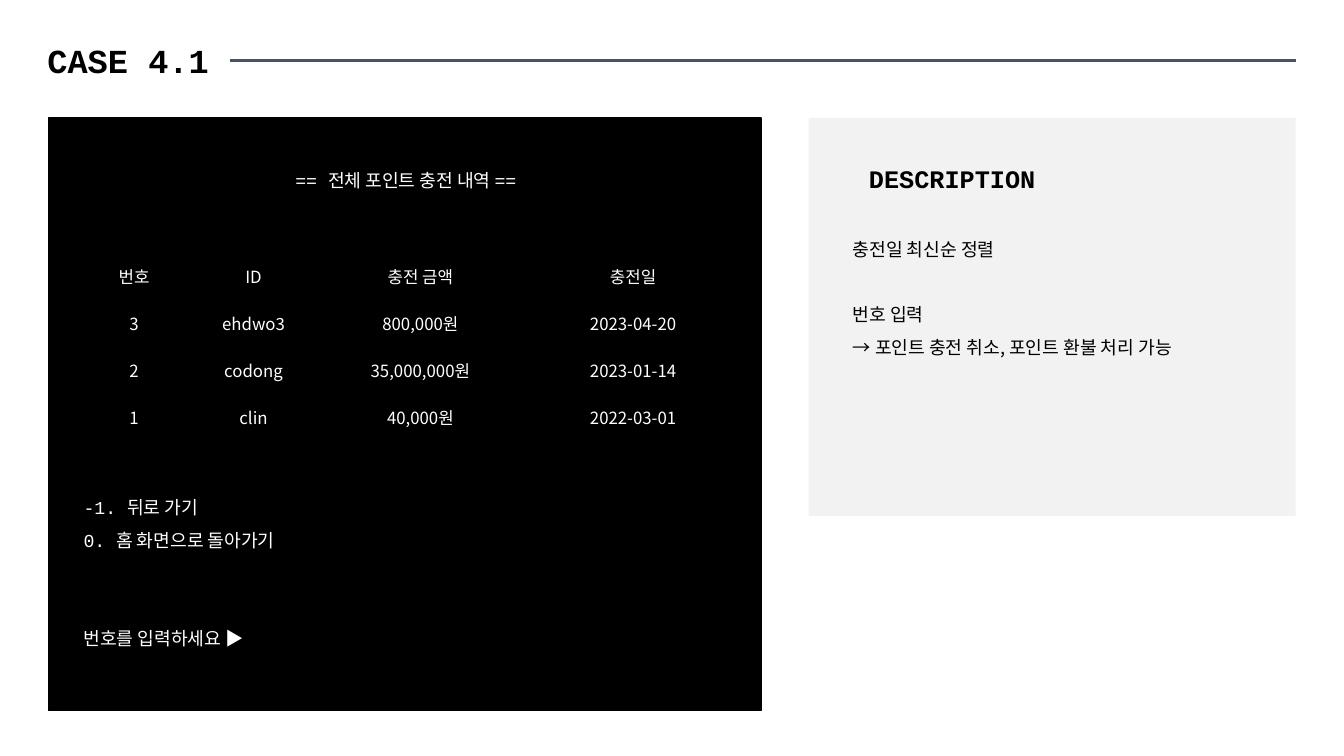
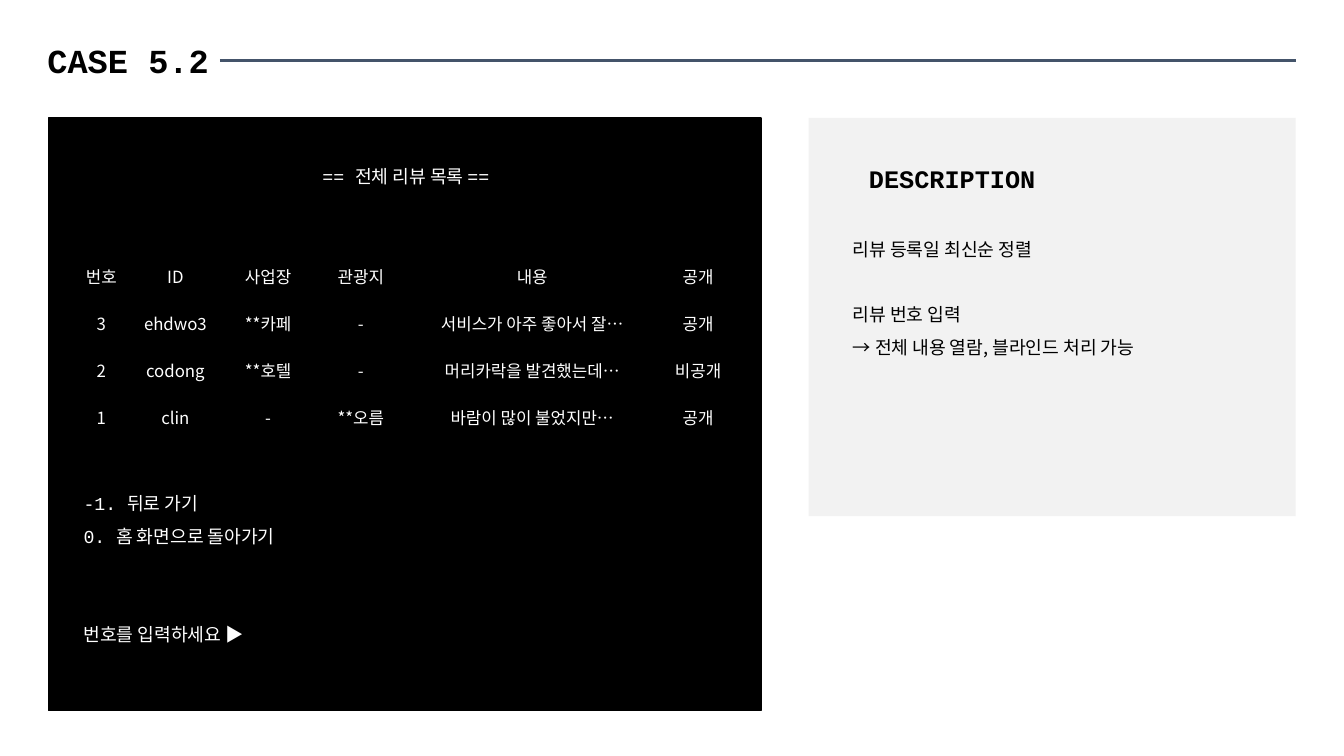
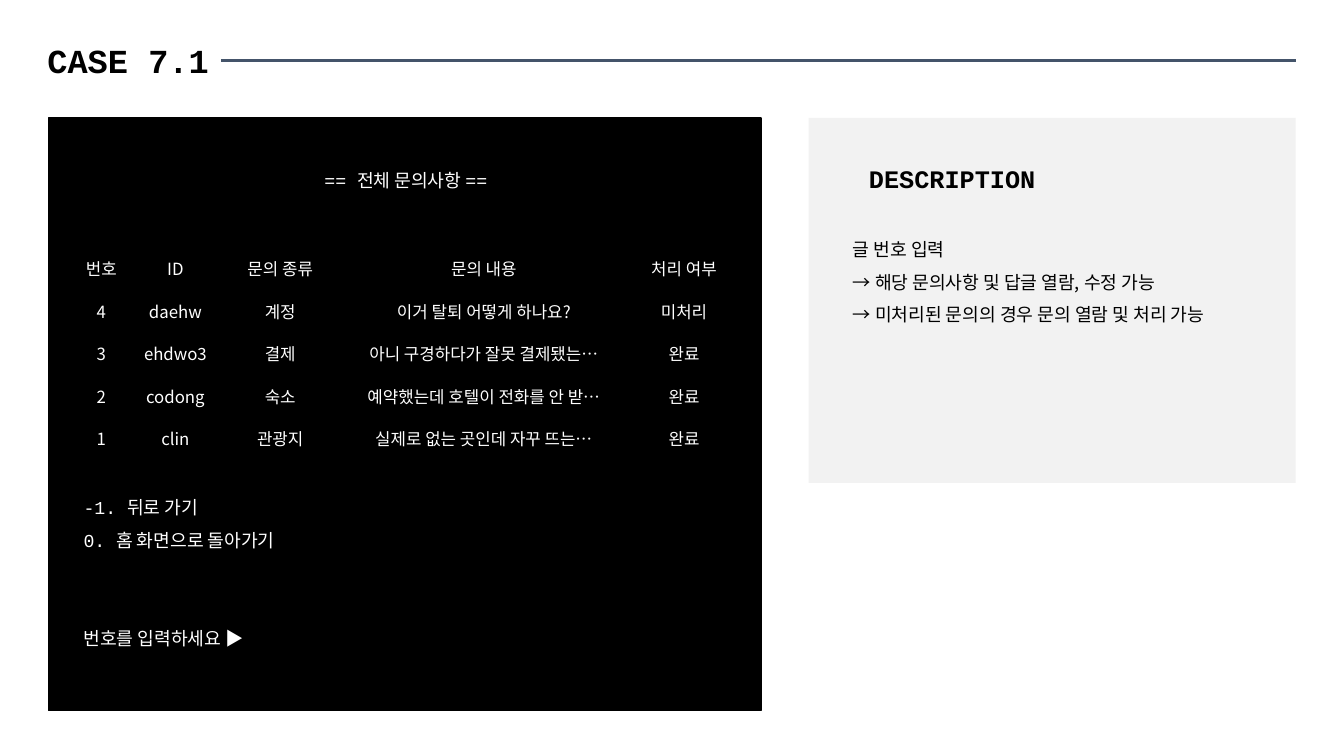
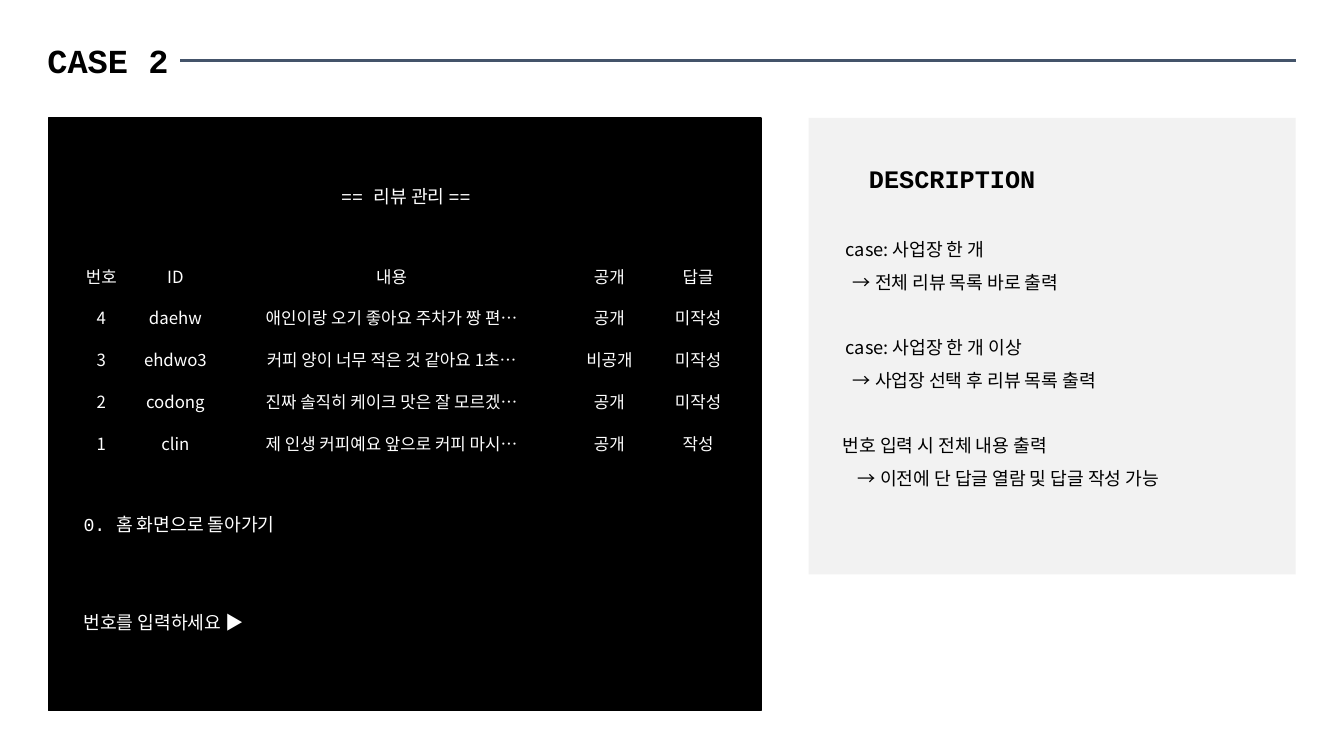
"""Build four console screen slides, each with a data table and a description panel."""
import lxml.etree
import pptx
import pptx.dml.color
import pptx.enum.shapes
import pptx.enum.text
import pptx.oxml.ns
import pptx.util

Inches = pptx.util.Inches
Pt = pptx.util.Pt
ALIGN = pptx.enum.text.PP_ALIGN
ANCHOR = pptx.enum.text.MSO_ANCHOR
RECT = pptx.enum.shapes.MSO_SHAPE.RECTANGLE

BLACK, WHITE, PANEL, RULE = "000000", "FFFFFF", "F2F2F2", "44546A"
MONO, SANS = "Courier New", "Noto Sans CJK KR"
NO_GRID_STYLE = "{2D5ABB26-0587-4C30-8999-92F81FD0307C}"
LINE = 23.4
RIGHT = 12.85
CONTENT_LEFT, CONTENT_WIDTH = 0.73, 6.59
BACK, HOME = "-1. 뒤로 가기", "0. 홈 화면으로 돌아가기"
PROMPT = "번호를 입력하세요 ▶"

# Each note is (text, indent in inches, empty lines above).
SLIDES = [
    {
        "title": "CASE 4.1", "rule_left": 2.28,
        "heading": "== 전체 포인트 충전 내역 ==", "text_top": 1.52, "menu": [BACK, HOME],
        "table_top": 2.51, "table_height": 1.86, "cols": [1.2, 1.17, 2.14, 2.08],
        "rows": [
            ("번호", "ID", "충전 금액", "충전일"),
            ("3", "ehdwo3", "800,000원", "2023-04-20"),
            ("2", "codong", "35,000,000원", "2023-01-14"),
            ("1", "clin", "40,000원", "2022-03-01"),
        ],
        "panel_height": 3.95,
        "notes": [
            ("충전일 최신순 정렬", 0.34, 0),
            ("번호 입력", 0.34, 1),
            ("→ 포인트 충전 취소, 포인트 환불 처리 가능", 0.34, 0),
        ],
    },
    {
        "title": "CASE 5.2", "rule_left": 2.18,
        "heading": "== 전체 리뷰 목록 ==", "text_top": 1.48, "menu": [BACK, HOME],
        "table_top": 2.51, "table_height": 1.86, "cols": [0.55, 0.92, 0.92, 0.92, 2.48, 0.81],
        "rows": [
            ("번호", "ID", "사업장", "관광지", "내용", "공개"),
            ("3", "ehdwo3", "**카페", "-", "서비스가 아주 좋아서 잘…", "공개"),
            ("2", "codong", "**호텔", "-", "머리카락을 발견했는데…", "비공개"),
            ("1", "clin", "-", "**오름", "바람이 많이 불었지만…", "공개"),
        ],
        "panel_height": 3.95,
        "notes": [
            ("리뷰 등록일 최신순 정렬", 0.34, 0),
            ("리뷰 번호 입력", 0.34, 1),
            ("→ 전체 내용 열람, 블라인드 처리 가능", 0.34, 0),
        ],
    },
    {
        "title": "CASE 7.1", "rule_left": 2.19,
        "heading": "== 전체 문의사항 ==", "text_top": 1.52, "menu": [BACK, HOME],
        "table_top": 2.45, "table_height": 2.11, "cols": [0.55, 0.92, 1.16, 2.88, 1.09],
        "rows": [
            ("번호", "ID", "문의 종류", "문의 내용", "처리 여부"),
            ("4", "daehw", "계정", "이거 탈퇴 어떻게 하나요?", "미처리"),
            ("3", "ehdwo3", "결제", "아니 구경하다가 잘못 결제됐는…", "완료"),
            ("2", "codong", "숙소", "예약했는데 호텔이 전화를 안 받…", "완료"),
            ("1", "clin", "관광지", "실제로 없는 곳인데 자꾸 뜨는…", "완료"),
        ],
        "panel_height": 3.62,
        "notes": [
            ("글 번호 입력", 0.34, 0),
            ("→ 해당 문의사항 및 답글 열람, 수정 가능", 0.34, 0),
            ("→ 미처리된 문의의 경우 문의 열람 및 처리 가능", 0.34, 0),
        ],
    },
    {
        "title": "CASE 2", "rule_left": 1.79,
        "heading": "== 리뷰 관리 ==", "text_top": 1.68, "menu": [HOME],
        "table_top": 2.53, "table_height": 2.07, "cols": [0.55, 0.92, 3.37, 0.95, 0.81],
        "rows": [
            ("번호", "ID", "내용", "공개", "답글"),
            ("4", "daehw", "애인이랑 오기 좋아요 주차가 짱 편…", "공개", "미작성"),
            ("3", "ehdwo3", "커피 양이 너무 적은 것 같아요 1초…", "비공개", "미작성"),
            ("2", "codong", "진짜 솔직히 케이크 맛은 잘 모르겠…", "공개", "미작성"),
            ("1", "clin", "제 인생 커피예요 앞으로 커피 마시…", "공개", "작성"),
        ],
        "panel_height": 4.53,
        "notes": [
            ("case: 사업장 한 개", 0.27, 0),
            ("→ 전체 리뷰 목록 바로 출력", 0.34, 0),
            ("case: 사업장 한 개 이상", 0.27, 1),
            ("→ 사업장 선택 후 리뷰 목록 출력", 0.34, 0),
            ("번호 입력 시 전체 내용 출력", 0.24, 1),
            ("→ 이전에 단 답글 열람 및 답글 작성 가능", 0.39, 0),
        ],
    },
]


def rgb(value):
    return pptx.dml.color.RGBColor.from_string(value)


def write(p, text, size, font, color, align=ALIGN.LEFT, bold=False):
    p.text = text
    p.alignment = align
    for r in p.runs:
        r.font.size = Pt(size)
        r.font.bold = bold
        r.font.color.rgb = rgb(color)
        r.font.name = font
        ea = lxml.etree.SubElement(r._r.get_or_add_rPr(), pptx.oxml.ns.qn("a:ea"))
        ea.set("typeface", SANS)


def space(p, line, before=0, indent=0):
    p.line_spacing = Pt(line)
    p.space_before = Pt(before)
    if indent:
        p._p.get_or_add_pPr().set("marL", str(Inches(indent)))


def next_paragraph(tf):
    return tf.add_paragraph() if tf.paragraphs[0].runs else tf.paragraphs[0]


def add_rect(s, left, top, width, height, fill):
    sp = s.shapes.add_shape(RECT, Inches(left), Inches(top), Inches(width), Inches(height))
    sp.shadow.inherit = False
    sp.fill.solid()
    sp.fill.fore_color.rgb = rgb(fill)
    sp.line.fill.background()
    return sp


def add_title(s, text, rule_left):
    left = 0.37
    sp = s.shapes.title
    sp.left, sp.top = Inches(left), Inches(0.35)
    sp.width, sp.height = Inches(rule_left - left), Inches(0.5)
    tf = sp.text_frame
    tf.auto_size = pptx.enum.text.MSO_AUTO_SIZE.NONE
    tf.vertical_anchor = ANCHOR.TOP
    write(tf.paragraphs[0], text, 24, MONO, BLACK, bold=True)
    rule = s.shapes.add_connector(pptx.enum.shapes.MSO_CONNECTOR.STRAIGHT,
                                  Inches(rule_left), Inches(0.6), Inches(RIGHT), Inches(0.6))
    rule.line.color.rgb = rgb(RULE)
    rule.line.width = Pt(1.5)
    lxml.etree.SubElement(rule._element.spPr, pptx.oxml.ns.qn("a:effectLst"))


def add_console(s, heading, menu, top):
    screen = add_rect(s, 0.48, 1.17, 7.07, 5.88, BLACK)
    screen.line.color.rgb = rgb(BLACK)
    screen.line.width = Pt(1)
    sp = s.shapes.add_textbox(Inches(CONTENT_LEFT), Inches(top),
                              Inches(CONTENT_WIDTH), Inches(5.1))
    tf = sp.text_frame
    tf.word_wrap = True
    lines = [(heading, ALIGN.CENTER, 0), (menu[0], ALIGN.LEFT, 9)]
    lines += [(item, ALIGN.LEFT, 0) for item in menu[1:]]
    lines.append((PROMPT, ALIGN.LEFT, 2))
    for text, align, gap in lines:
        p = next_paragraph(tf)
        write(p, text, 13, MONO, WHITE, align)
        space(p, LINE, gap * LINE)


def add_data_table(s, rows, cols, top, height):
    frame = s.shapes.add_table(len(rows), len(cols), Inches(CONTENT_LEFT), Inches(top),
                               Inches(CONTENT_WIDTH), Inches(height))
    table = frame.table
    table.first_row = table.horz_banding = False
    table._tbl.tblPr.find(pptx.oxml.ns.qn("a:tableStyleId")).text = NO_GRID_STYLE
    for column, width in zip(table.columns, cols):
        column.width = Inches(width)
    for row, values in zip(table.rows, rows):
        row.height = Inches(height / len(rows))
        for cell, value in zip(row.cells, values):
            cell.fill.background()
            cell.vertical_anchor = ANCHOR.MIDDLE
            write(cell.text_frame.paragraphs[0], value, 12, SANS, WHITE, ALIGN.CENTER)


def add_description(s, notes, height):
    left = 8.02
    tf = add_rect(s, left, 1.17, RIGHT - left, height, PANEL).text_frame
    tf.word_wrap = True
    tf.vertical_anchor = ANCHOR.TOP
    tf.margin_top = Inches(0.3)
    p = tf.paragraphs[0]
    write(p, "DESCRIPTION", 18, MONO, BLACK, bold=True)
    space(p, 32.4, indent=0.5)
    p.space_after = Pt(24)
    for text, indent, gap in notes:
        p = next_paragraph(tf)
        write(p, text, 13, SANS, BLACK)
        space(p, LINE, gap * LINE, indent)


def main():
    prs = pptx.Presentation()
    prs.slide_width, prs.slide_height = Inches(13.33), Inches(7.5)
    for d in SLIDES:
        s = prs.slides.add_slide(prs.slide_layouts[5])
        add_title(s, d["title"], d["rule_left"])
        add_console(s, d["heading"], d["menu"], d["text_top"])
        add_data_table(s, d["rows"], d["cols"], d["table_top"], d["table_height"])
        add_description(s, d["notes"], d["panel_height"])
    prs.save("out.pptx")


if __name__ == "__main__":
    main()
